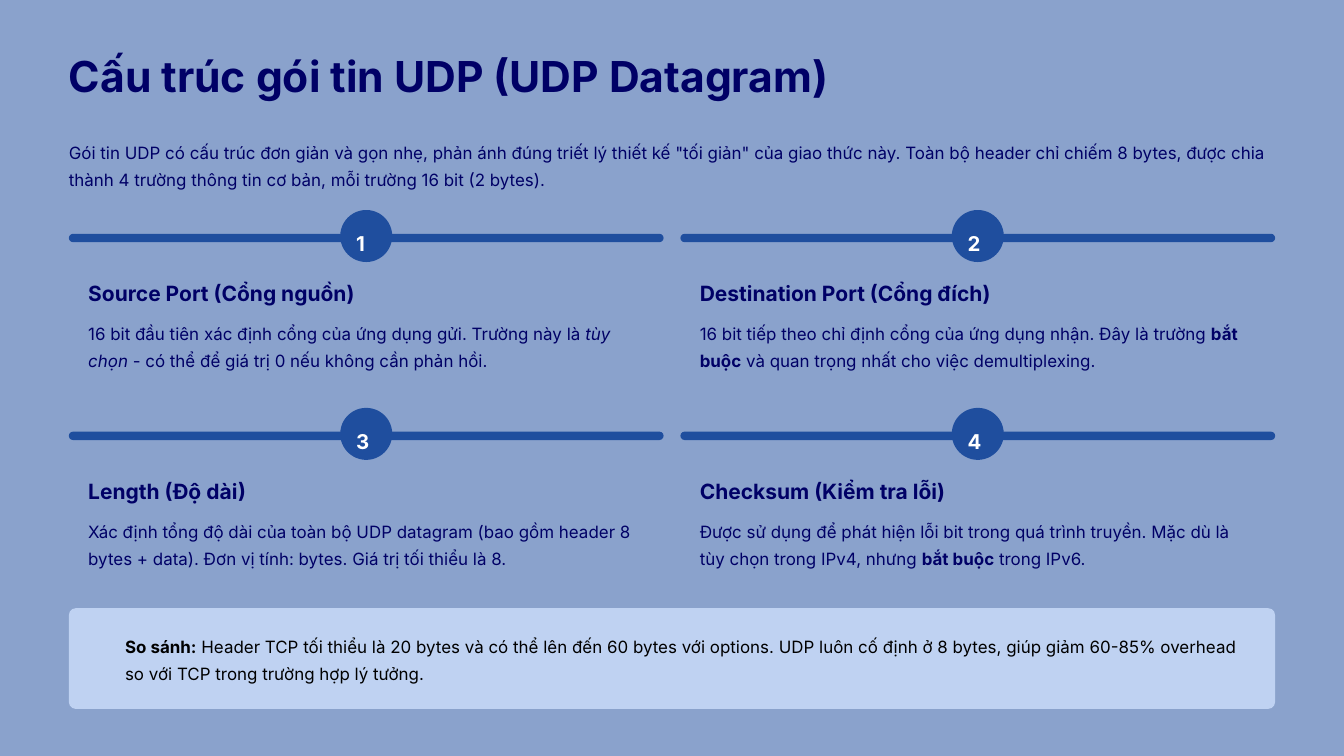
from pptx import Presentation
from pptx.dml.color import RGBColor
from pptx.enum.shapes import MSO_SHAPE as Shape
from pptx.util import Pt

NAVY, BLUE, PALE, BACK = "000066", "1F4E9E", "BFD2F2", "8AA2CC"
BLACK, WHITE = "000000", "FFFFFF"

# Each text is a list of (words, style) spans; style is "", "bold" or "italic".
TITLE = [("Cấu trúc gói tin UDP (UDP Datagram)", "bold")]
INTRO = [("Gói tin UDP có cấu trúc đơn giản và gọn nhẹ, phản ánh đúng triết lý thiết kế "
          "\"tối giản\" của giao thức này. Toàn bộ header chỉ chiếm 8 bytes, được chia "
          "thành 4 trường thông tin cơ bản, mỗi trường 16 bit (2 bytes).", "")]
FIELDS = [
    ("Source Port (Cổng nguồn)", [
        ("16 bit đầu tiên xác định cổng của ứng dụng gửi. Trường này là ", ""),
        ("tùy chọn", "italic"),
        (" - có thể để giá trị 0 nếu không cần phản hồi.", "")]),
    ("Destination Port (Cổng đích)", [
        ("16 bit tiếp theo chỉ định cổng của ứng dụng nhận. Đây là trường ", ""),
        ("bắt buộc", "bold"),
        (" và quan trọng nhất cho việc demultiplexing.", "")]),
    ("Length (Độ dài)", [
        ("Xác định tổng độ dài của toàn bộ UDP datagram (bao gồm header 8 bytes + data). "
         "Đơn vị tính: bytes. Giá trị tối thiểu là 8.", "")]),
    ("Checksum (Kiểm tra lỗi)", [
        ("Được sử dụng để phát hiện lỗi bit trong quá trình truyền. Mặc dù là tùy chọn "
         "trong IPv4, nhưng ", ""),
        ("bắt buộc", "bold"),
        (" trong IPv6.", "")]),
]
COMPARISON = [
    ("So sánh:", "bold"),
    (" Header TCP tối thiểu là 20 bytes và có thể lên đến 60 bytes với options. UDP luôn "
     "cố định ở 8 bytes, giúp giảm 60-85% overhead so với TCP trong trường hợp lý tưởng.", "")]

# Text formats: size, line spacing, colour
HEADLINE = (36.5, 46, NAVY)
BODY = (14.5, 23.5, NAVY)
NOTE = (14.5, 23.5, BLACK)
FIELD_NAME = (18, 23, NAVY)
NUMBER = (17.5, 28, WHITE)

# Layout in points
LEFT, WIDTH = 59, 1034
GAP = 14.4
FIELD_WIDTH = (WIDTH - GAP) / 2
FIELD_TOP, ROW_PITCH = 180, 169.6
CIRCLE, BAR = 44.6, 7.2
INSET = 16.6


def color(value):
    return RGBColor.from_string(value)


def add_block(page, kind, left, top, width, height, fill, corner=None):
    block = page.shapes.add_shape(kind, Pt(left), Pt(top), Pt(width), Pt(height))
    block.shadow.inherit = False
    block.fill.solid()
    block.fill.fore_color.rgb = color(fill)
    block.line.fill.background()
    if corner is not None:
        block.adjustments[0] = corner


def add_text(page, left, top, width, height, spans, text_format):
    size, spacing, ink = text_format
    box = page.shapes.add_textbox(Pt(left), Pt(top), Pt(width), Pt(height))
    frame = box.text_frame
    frame.word_wrap = True
    for side in ("left", "top", "right", "bottom"):
        setattr(frame, f"margin_{side}", 0)
    para = frame.paragraphs[0]
    para.line_spacing = Pt(spacing)
    for words, style in spans:
        span = para.add_run()
        span.text = words
        looks = {"name": "Inter", "size": Pt(size),
                 "bold": style == "bold", "italic": style == "italic"}
        for name, value in looks.items():
            setattr(span.font, name, value)
        span.font.color.rgb = color(ink)


def add_field(page, index, name, description):
    """Draw one numbered header field at its place in the two-column grid."""
    row, column = divmod(index, 2)
    left = LEFT + column * (FIELD_WIDTH + GAP)
    top = FIELD_TOP + row * ROW_PITCH
    circle_left = left + (FIELD_WIDTH - CIRCLE) / 2
    text_left, text_width = left + INSET, FIELD_WIDTH - 2 * INSET
    add_block(page, Shape.ROUNDED_RECTANGLE, left, top + 20.4, FIELD_WIDTH, BAR, BLUE, 0.5)
    add_block(page, Shape.OVAL, circle_left, top, CIRCLE, CIRCLE, BLUE)
    add_text(page, circle_left + 13.6, top + 11.2, 18, 22.3, [(str(index + 1), "bold")], NUMBER)
    add_text(page, text_left, top + 59.2, text_width, 23, [(name, "bold")], FIELD_NAME)
    add_text(page, text_left, top + 91.2, text_width, 47.5, description, BODY)


def main():
    deck = Presentation()
    deck.slide_width, deck.slide_height = Pt(1152), Pt(648)
    page = deck.slides.add_slide(deck.slide_layouts[6])
    page.background.fill.solid()
    page.background.fill.fore_color.rgb = color(BACK)

    add_text(page, LEFT, 40.3, WIDTH, 46, TITLE, HEADLINE)
    add_text(page, LEFT, 116, WIDTH, 47.5, INTRO, BODY)
    for index, (name, description) in enumerate(FIELDS):
        add_field(page, index, name, description)
    add_block(page, Shape.ROUNDED_RECTANGLE, LEFT, 521.3, WIDTH, 86.4, PALE, 0.07)
    add_text(page, 107.2, 539.3, 971.3, 47.5, COMPARISON, NOTE)
    deck.save("out.pptx")


if __name__ == "__main__":
    main()
